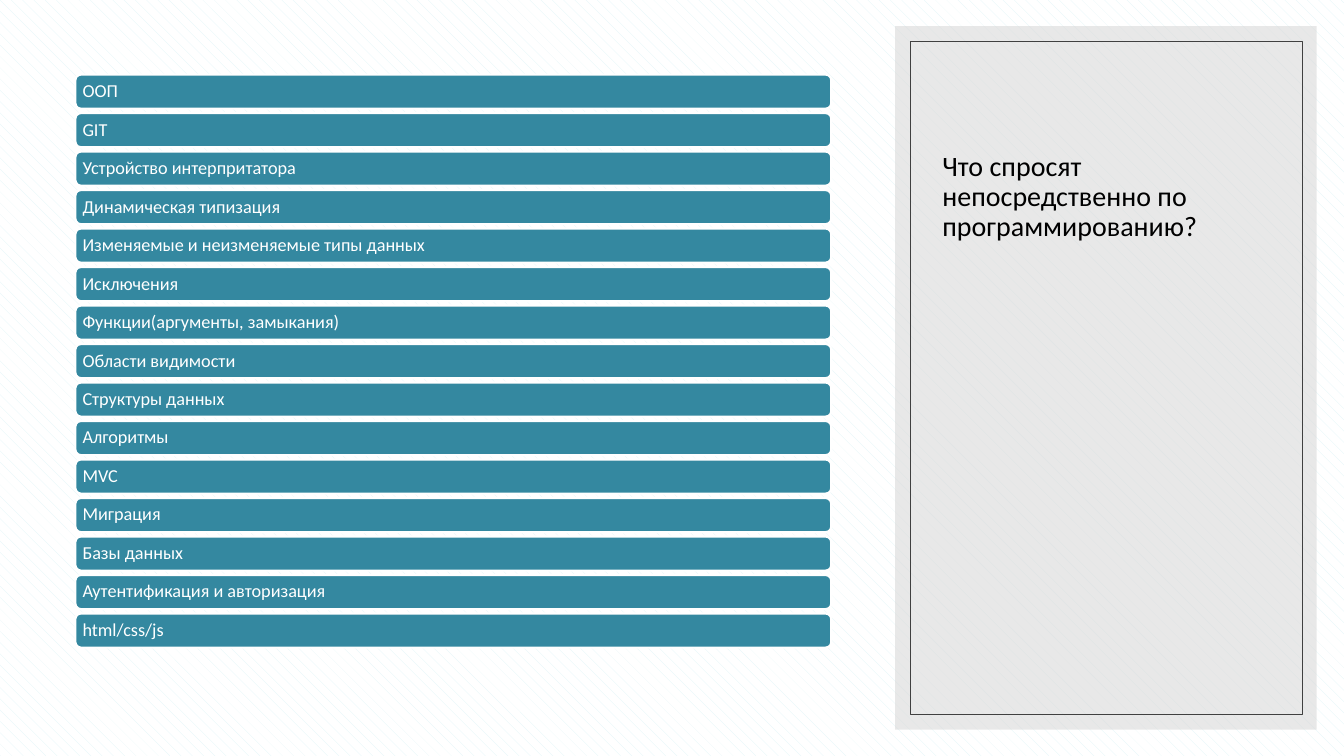
"""Build a slide listing programming interview topics beside a titled panel."""
from dataclasses import dataclass

from lxml.etree import SubElement
from pptx import Presentation
from pptx.dml.color import RGBColor
from pptx.enum.dml import MSO_PATTERN
from pptx.enum.shapes import MSO_SHAPE as Preset
from pptx.enum.text import MSO_ANCHOR as Anchor, PP_ALIGN as Align
from pptx.oxml.ns import qn
from pptx.util import Cm, Pt


@dataclass(frozen=True)
class Theme:
    font: str = "Calibri"
    title_size: Pt = Pt(20)
    topic_size: Pt = Pt(13)
    black: RGBColor = RGBColor(0x00, 0x00, 0x00)
    white: RGBColor = RGBColor(0xFF, 0xFF, 0xFF)
    stripe: RGBColor = RGBColor(0xDE, 0xF4, 0xF7)
    panel: RGBColor = RGBColor(0xD9, 0xD9, 0xD9)
    frame: RGBColor = RGBColor(0x40, 0x40, 0x40)
    bar: RGBColor = RGBColor(0x34, 0x88, 0xA0)


theme = Theme()
topics = [
    "ООП",
    "GIT",
    "Устройство интерпритатора",
    "Динамическая типизация",
    "Изменяемые и неизменяемые типы данных",
    "Исключения",
    "Функции(аргументы, замыкания)",
    "Области видимости",
    "Структуры данных",
    "Алгоритмы",
    "MVC",
    "Миграция",
    "Базы данных",
    "Аутентификация и авторизация",
    "html/css/js",
]
bar_left, bar_top, bar_width, bar_height, bar_pitch = 1.9, 1.88, 19.05, 0.86, 0.97


def add_box(preset, left, top, width, height):
    shape = slide.shapes.add_shape(preset, Cm(left), Cm(top), Cm(width), Cm(height))
    shape.shadow.inherit = False
    return shape


def write(shape, text, size, color, anchor):
    text_frame = shape.text_frame
    text_frame.text = text
    text_frame.word_wrap = True
    text_frame.vertical_anchor = anchor
    paragraph = text_frame.paragraphs[0]
    paragraph.alignment = Align.LEFT
    paragraph.line_spacing = 0.9
    font = paragraph.runs[0].font
    font.name = theme.font
    font.size = size
    font.color.rgb = color


presentation = Presentation()
presentation.slide_width = Cm(33.87)
presentation.slide_height = Cm(19.05)
slide = presentation.slides.add_slide(presentation.slide_layouts[6])

background = slide.background.fill
background.patterned()
background.pattern = MSO_PATTERN.SHINGLE
background.fore_color.rgb = theme.stripe
background.back_color.rgb = theme.white

panel = add_box(Preset.RECTANGLE, 22.56, 0.66, 10.62, 17.73)
panel.fill.solid()
panel.fill.fore_color.rgb = theme.panel
panel.line.fill.background()
panel_color = panel.fill._xPr.find(qn("a:solidFill"))[0]
SubElement(panel_color, qn("a:alpha"), val="60000")

frame = add_box(Preset.RECTANGLE, 22.94, 1.04, 9.88, 16.97)
frame.fill.background()
frame.line.color.rgb = theme.frame
frame.line.width = Pt(0.5)

title = slide.shapes.add_textbox(Cm(23.5), Cm(1.68), Cm(8.79), Cm(4.57))
write(title, "Что спросят непосредственно по программированию?",
      theme.title_size, theme.black, Anchor.BOTTOM)

for index, topic in enumerate(topics):
    bar = add_box(Preset.ROUNDED_RECTANGLE, bar_left, bar_top + index * bar_pitch,
                  bar_width, bar_height)
    bar.fill.solid()
    bar.fill.fore_color.rgb = theme.bar
    bar.line.color.rgb = theme.white
    bar.line.width = Pt(1.5)
    write(bar, topic, theme.topic_size, theme.white, Anchor.MIDDLE)
    bar.text_frame.margin_left = bar.text_frame.margin_right = Cm(0.14)
    bar.text_frame.margin_top = bar.text_frame.margin_bottom = Cm(0.1)

presentation.save("out.pptx")
